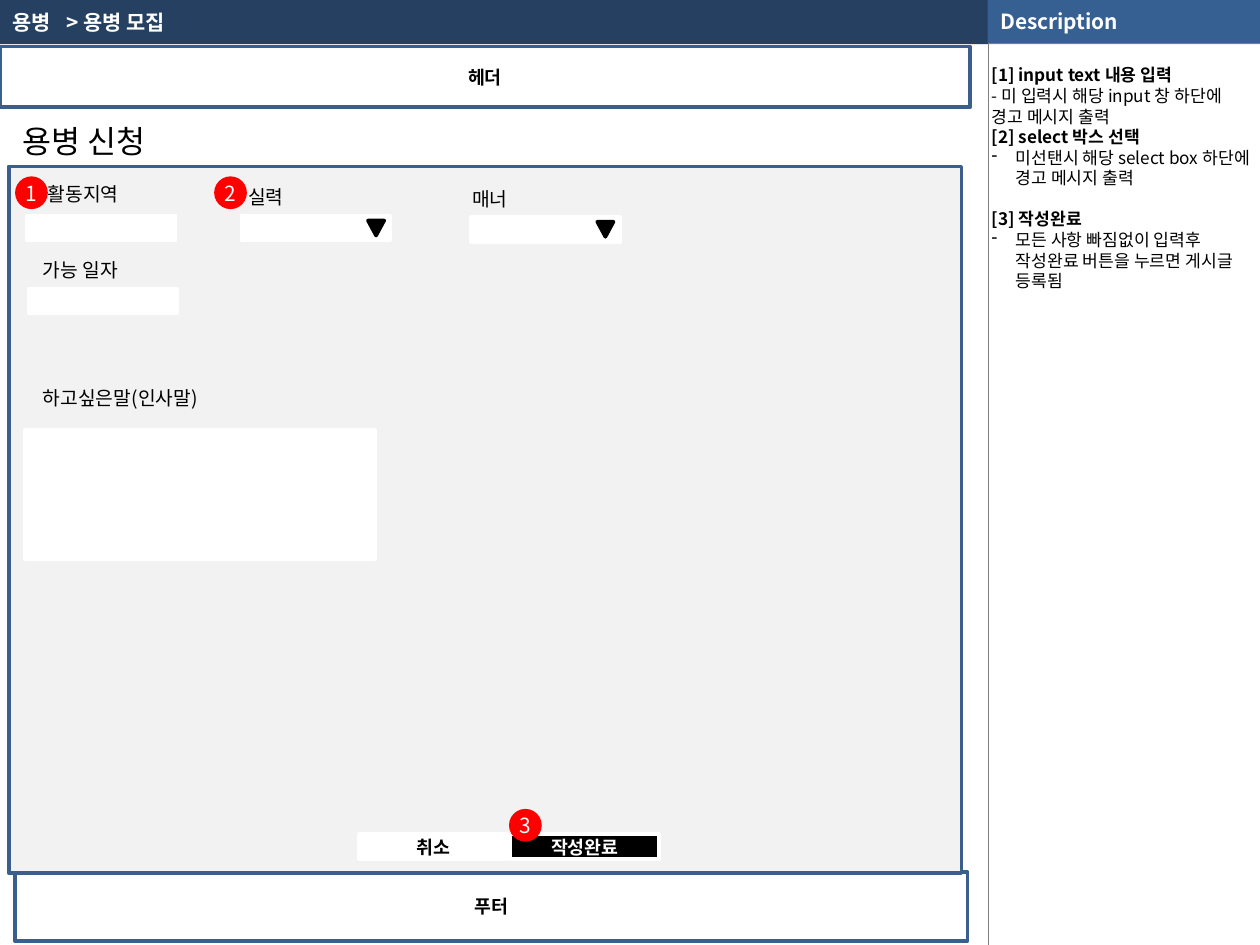
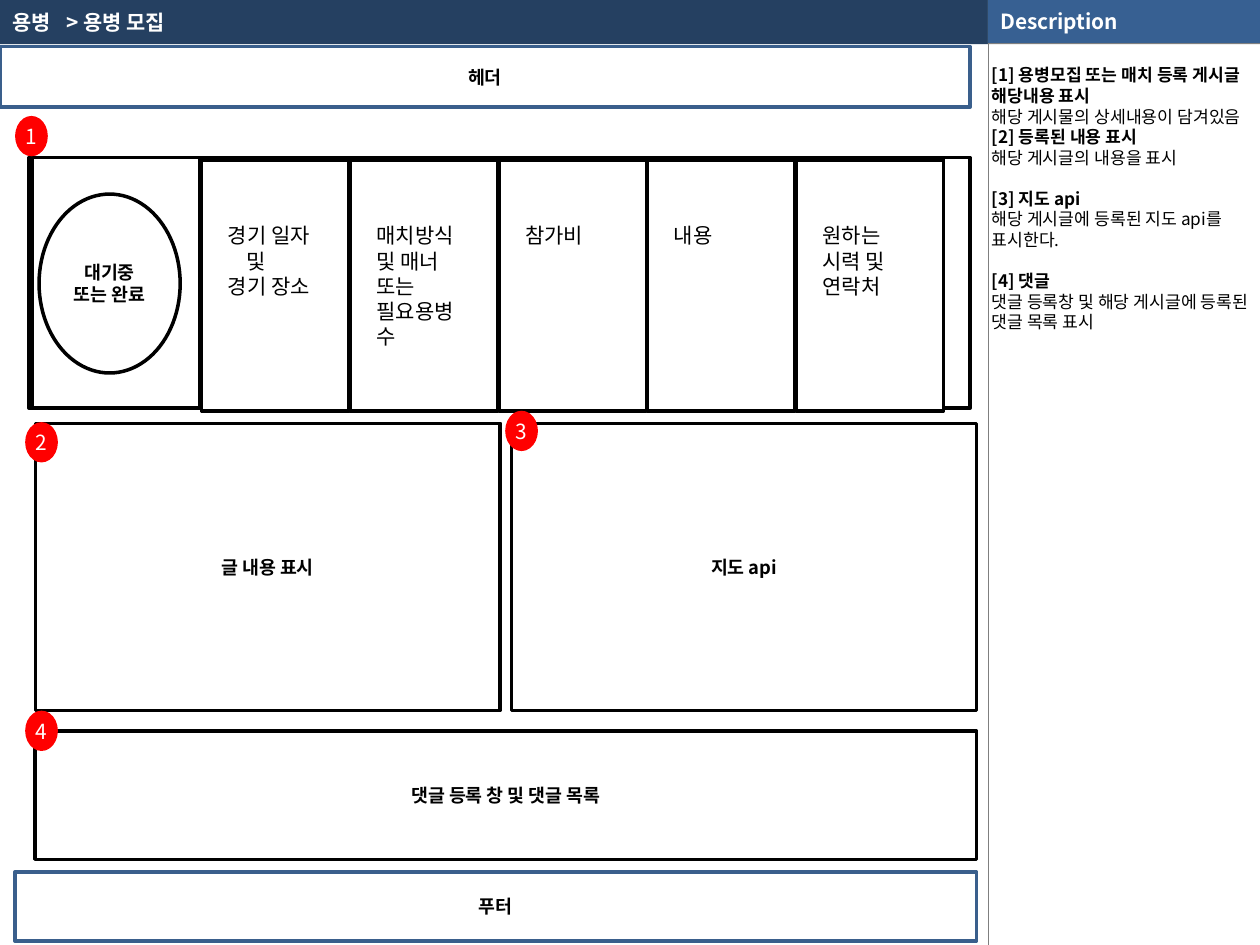
from dataclasses import dataclass

import pptx
import pptx.dml.color
import pptx.enum.shapes
import pptx.enum.text
import pptx.oxml
import pptx.oxml.ns
import pptx.presentation
import pptx.shapes.autoshape
import pptx.slide
import pptx.text.text
import pptx.util
from pptx.util import Inches

FONT = "Noto Sans CJK KR"
NAVY, BLUE, FRAME, GRAY, RULE = "254061", "376092", "3A5F8C", "808080", "7F7F7F"
BLACK, WHITE, PANEL, RED = "000000", "FFFFFF", "F2F2F2", "FF0000"
SIDE_X, BAND_H = 7.84, 0.35
NOTE_SIZE = 9.8
NOTE_LINE = NOTE_SIZE * 1.2
SHAPE = pptx.enum.shapes.MSO_SHAPE
ALIGN = pptx.enum.text.PP_ALIGN
ANCHOR = pptx.enum.text.MSO_ANCHOR


@dataclass
class Box:
    left: float
    top: float
    width: float
    height: float
    text: str = ""
    fill: str = WHITE
    line: str | None = BLACK
    color: str = BLACK
    size: float = 10.5
    bold: bool = True
    kind: SHAPE = SHAPE.RECTANGLE


@dataclass
class Label:
    left: float
    top: float
    width: float
    height: float
    lines: tuple[str, ...]
    size: float = 11


@dataclass
class Marker:
    number: int
    left: float
    top: float


@dataclass
class Note:
    text: str
    bold: bool = False
    bullet: bool = False
    gap: bool = False


def rgb(color: str) -> pptx.dml.color.RGBColor:
    return pptx.dml.color.RGBColor.from_string(color)


def add_run(p: pptx.text.text._Paragraph, text: str, size: float,
            color: str = BLACK, bold: bool = False) -> None:
    r = p.add_run()
    r.text = text
    r.font.size = pptx.util.Pt(size)
    r.font.bold = bold
    r.font.name = FONT
    r.font.color.rgb = rgb(color)
    ea = r.font._element.makeelement(pptx.oxml.ns.qn("a:ea"), {"typeface": FONT})
    r.font._element.find(pptx.oxml.ns.qn("a:latin")).addnext(ea)


def set_indent(p: pptx.text.text._Paragraph, left: float, first: float = 0) -> None:
    pPr = p._p.get_or_add_pPr()
    pPr.set("marL", str(Inches(left)))
    pPr.set("indent", str(Inches(first)))


def add_box(s: pptx.slide.Slide, box: Box) -> pptx.shapes.autoshape.Shape:
    sp = s.shapes.add_shape(box.kind, Inches(box.left), Inches(box.top),
                            Inches(box.width), Inches(box.height))
    sp.shadow.inherit = False
    sp.fill.solid()
    sp.fill.fore_color.rgb = rgb(box.fill)
    if box.line:
        sp.line.color.rgb = rgb(box.line)
        sp.line.width = pptx.util.Pt(2)
    else:
        sp.line.fill.background()
    if box.text:
        sp.text_frame.vertical_anchor = ANCHOR.MIDDLE
        p = sp.text_frame.paragraphs[0]
        p.alignment = ALIGN.CENTER
        add_run(p, box.text, box.size, box.color, box.bold)
    return sp


def add_label(s: pptx.slide.Slide, label: Label) -> pptx.text.text.TextFrame:
    tf = s.shapes.add_textbox(Inches(label.left), Inches(label.top),
                              Inches(label.width), Inches(label.height)).text_frame
    tf.word_wrap = True
    for i, line in enumerate(label.lines):
        p = tf.add_paragraph() if i else tf.paragraphs[0]
        add_run(p, line, label.size)
    return tf


def add_marker(s: pptx.slide.Slide, marker: Marker, height: float) -> None:
    sp = add_box(s, Box(marker.left, marker.top, 0.26, height, str(marker.number),
                        RED, None, WHITE, 11.9, False, SHAPE.OVAL))
    tf = sp.text_frame
    tf.margin_left = tf.margin_right = tf.margin_top = tf.margin_bottom = 0
    tf.word_wrap = False


def add_rule(s: pptx.slide.Slide, top: float, bottom: float, color: str):
    rule = s.shapes.add_connector(pptx.enum.shapes.MSO_CONNECTOR.STRAIGHT,
                                  Inches(SIDE_X), Inches(top), Inches(SIDE_X), Inches(bottom))
    rule.line.color.rgb = rgb(color)
    rule.line.width = pptx.util.Pt(0.25)
    spPr = rule._element.spPr
    spPr.append(spPr.makeelement(pptx.oxml.ns.qn("a:effectLst"), {}))
    return rule


def build_layout(s: pptx.slide.Slide) -> None:
    """Draw the bands and rules, then move them to the layout the slides share."""
    side_w = 10 - SIDE_X
    heading = add_box(s, Box(SIDE_X, 0, side_w, 0.34, "Description", BLUE, None, WHITE, 11.9))
    heading.text_frame.paragraphs[0].alignment = ALIGN.LEFT
    parts = [
        add_box(s, Box(0, 0, SIDE_X, BAND_H, fill=NAVY, line=None)),
        add_box(s, Box(SIDE_X, 0, side_w, BAND_H, fill=GRAY, line=None)),
        add_rule(s, 0, BAND_H, WHITE),
        add_rule(s, 0.34, 7.5, RULE),
        heading,
    ]
    for part in parts:
        s.slide_layout.shapes.element.append(part._element)


def set_title(s: pptx.slide.Slide) -> None:
    title = s.shapes.title
    title.left, title.top = Inches(0), Inches(0)
    title.width, title.height = Inches(7.62), Inches(BAND_H)
    tf = title.text_frame
    tf.auto_size = pptx.enum.text.MSO_AUTO_SIZE.NONE
    tf.vertical_anchor = ANCHOR.MIDDLE
    p = tf.paragraphs[0]
    p.alignment = ALIGN.LEFT
    pPr = p._p.get_or_add_pPr()
    tabs = pPr.makeelement(pptx.oxml.ns.qn("a:tabLst"), {})
    tabs.append(pPr.makeelement(pptx.oxml.ns.qn("a:tab"),
                                {"pos": str(Inches(0.43)), "algn": "l"}))
    pPr.append(tabs)
    add_run(p, "용병\t> 용병 모집", 11.9, WHITE, True)


def add_notes(s: pptx.slide.Slide, notes: list[Note]) -> None:
    tf = add_label(s, Label(7.83, BAND_H, 2.17, 7.15, ()))
    tf.margin_left = tf.margin_right = Inches(0.04)
    tf.margin_top, tf.margin_bottom = pptx.util.Pt(NOTE_LINE), 0
    for i, note in enumerate(notes):
        p = tf.add_paragraph() if i else tf.paragraphs[0]
        if note.gap:
            p.space_before = pptx.util.Pt(NOTE_LINE)
        if note.bullet:
            set_indent(p, 0.19, -0.19)
            pPr = p._p.get_or_add_pPr()
            pPr.append(pPr.makeelement(pptx.oxml.ns.qn("a:buChar"), {"char": "-"}))
        add_run(p, note.text, NOTE_SIZE, bold=note.bold)


def add_page(prs: pptx.presentation.Presentation, notes: list[Note],
             footer_w: float) -> pptx.slide.Slide:
    s = prs.slides.add_slide(prs.slide_layouts[5])
    if len(prs.slides) == 1:
        build_layout(s)
    set_title(s)
    add_notes(s, notes)
    add_box(s, Box(0, 0.37, 7.7, 0.48, "헤더", line=FRAME))
    add_box(s, Box(0.12, 6.92, footer_w, 0.55, "푸터", line=FRAME))
    return s


def build_application_form(prs: pptx.presentation.Presentation) -> None:
    s = add_page(prs, [
        Note("[1] input text 내용 입력", bold=True),
        Note("- 미 입력시 해당 input 창 하단에 경고 메시지 출력"),
        Note("[2] select 박스 선택", bold=True),
        Note("미선탠시 해당 select box 하단에 경고 메시지 출력", bullet=True),
        Note("[3] 작성완료", bold=True, gap=True),
        Note("모든 사항 빠짐없이 입력후 작성완료 버튼을 누르면 게시글 등록됨", bullet=True),
    ], 7.56)
    add_box(s, Box(0.07, 1.32, 7.56, 5.61, fill=PANEL, line=FRAME))
    for label in (
        Label(0.08, 0.92, 1.45, 0.4, ("용병 신청",), 18),
        Label(0.28, 1.4, 1.45, 0.29, ("활동지역",)),
        Label(1.87, 1.42, 1.45, 0.29, ("실력",)),
        Label(3.65, 1.44, 1.57, 0.29, ("매너",)),
        Label(0.24, 2, 1.73, 0.29, ("가능 일자",)),
        Label(0.24, 3.02, 1.69, 0.29, ("하고싶은말(인사말)",)),
    ):
        add_label(s, label)

    field_w, field_h = 1.18, 0.2
    selects = [(1.92, 1.71), (3.74, 1.72)]
    for left, top in [(0.21, 1.71), (0.23, 2.29), *selects]:
        add_box(s, Box(left, top, field_w, field_h, line=WHITE))
    for left, top in selects:
        add_box(s, Box(left + 1, top + 0.04, 0.13, 0.12, fill=BLACK,
                       kind=SHAPE.FLOWCHART_MERGE))
    add_box(s, Box(0.2, 3.41, 2.78, 1.03, line=WHITE))
    add_box(s, Box(4.05, 6.62, field_w, field_h, "작성완료", BLACK, WHITE, WHITE))
    add_box(s, Box(2.85, 6.62, field_w, field_h, "취소", line=WHITE))
    for marker in (Marker(1, 0.12, 1.4), Marker(2, 1.7, 1.4), Marker(3, 4.04, 6.42)):
        add_marker(s, marker, 0.26)


def build_post_detail(prs: pptx.presentation.Presentation) -> None:
    s = add_page(prs, [
        Note("[1] 용병모집 또는 매치 등록 게시글 해당내용 표시", bold=True),
        Note("해당 게시물의 상세내용이 담겨있음"),
        Note("[2] 등록된 내용 표시", bold=True),
        Note("해당 게시글의 내용을 표시"),
        Note("[3] 지도 api", bold=True, gap=True),
        Note("해당 게시글에 등록된 지도 api를 표시한다."),
        Note("[4] 댓글", bold=True, gap=True),
        Note("댓글 등록창 및 해당 게시글에 등록된 댓글 목록 표시"),
    ], 7.63)
    summary_h = 1.99
    add_box(s, Box(0.23, 1.25, 7.47, summary_h))
    add_box(s, Box(0.26, 1.25, 1.33, summary_h))
    add_box(s, Box(0.31, 1.54, 1.12, 1.42, "대기중 또는 완료", kind=SHAPE.OVAL))

    columns = [
        ("경기 일자", "및", "경기 장소"),
        ("매치방식", "및 매너 또는 필요용병수"),
        ("참가비",),
        ("내용",),
        ("원하는 시력 및 연락처",),
    ]
    for i, lines in enumerate(columns):
        left = 1.6 + 1.18 * i
        add_box(s, Box(left, 1.27, 1.17, summary_h))
        tf = add_label(s, Label(left + 0.11, 1.72, 0.95, 0.91, lines, 12))
        if i == 0:
            set_indent(tf.paragraphs[1], 0.15)

    for box in (
        Box(0.28, 3.36, 3.69, 2.28, "글 내용 표시"),
        Box(4.06, 3.36, 3.69, 2.28, "지도 api"),
        Box(0.28, 5.8, 7.47, 1.02, "댓글 등록 창 및 댓글 목록"),
    ):
        add_box(s, box)
    for marker in (Marker(1, 0.12, 0.92), Marker(2, 0.2, 3.35),
                   Marker(3, 4.01, 3.26), Marker(4, 0.2, 5.64)):
        add_marker(s, marker, 0.32)


def main() -> None:
    prs = pptx.Presentation()
    prs.slide_width, prs.slide_height = Inches(10), Inches(7.5)
    build_application_form(prs)
    build_post_detail(prs)
    prs.save("out.pptx")


if __name__ == "__main__":
    main()
